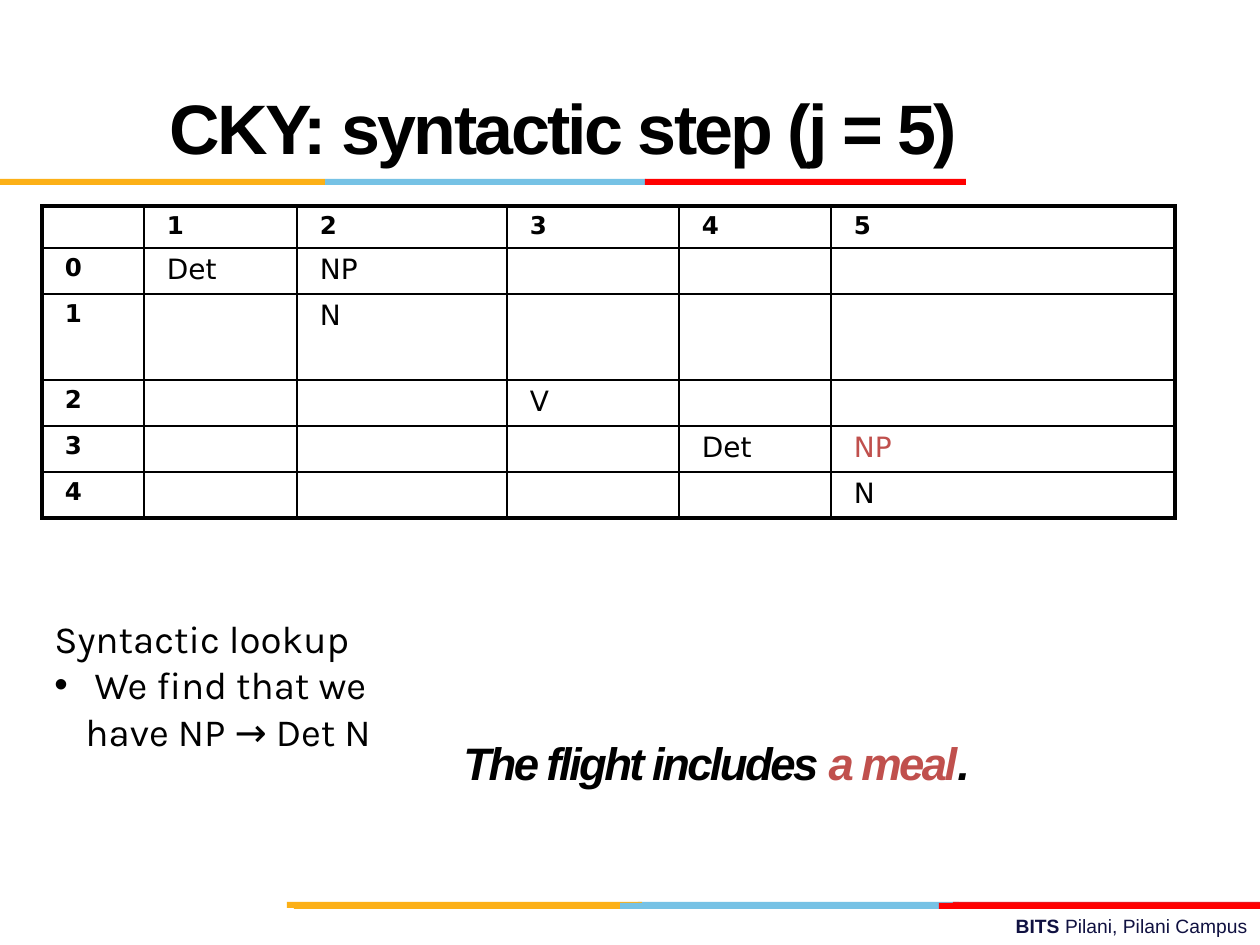
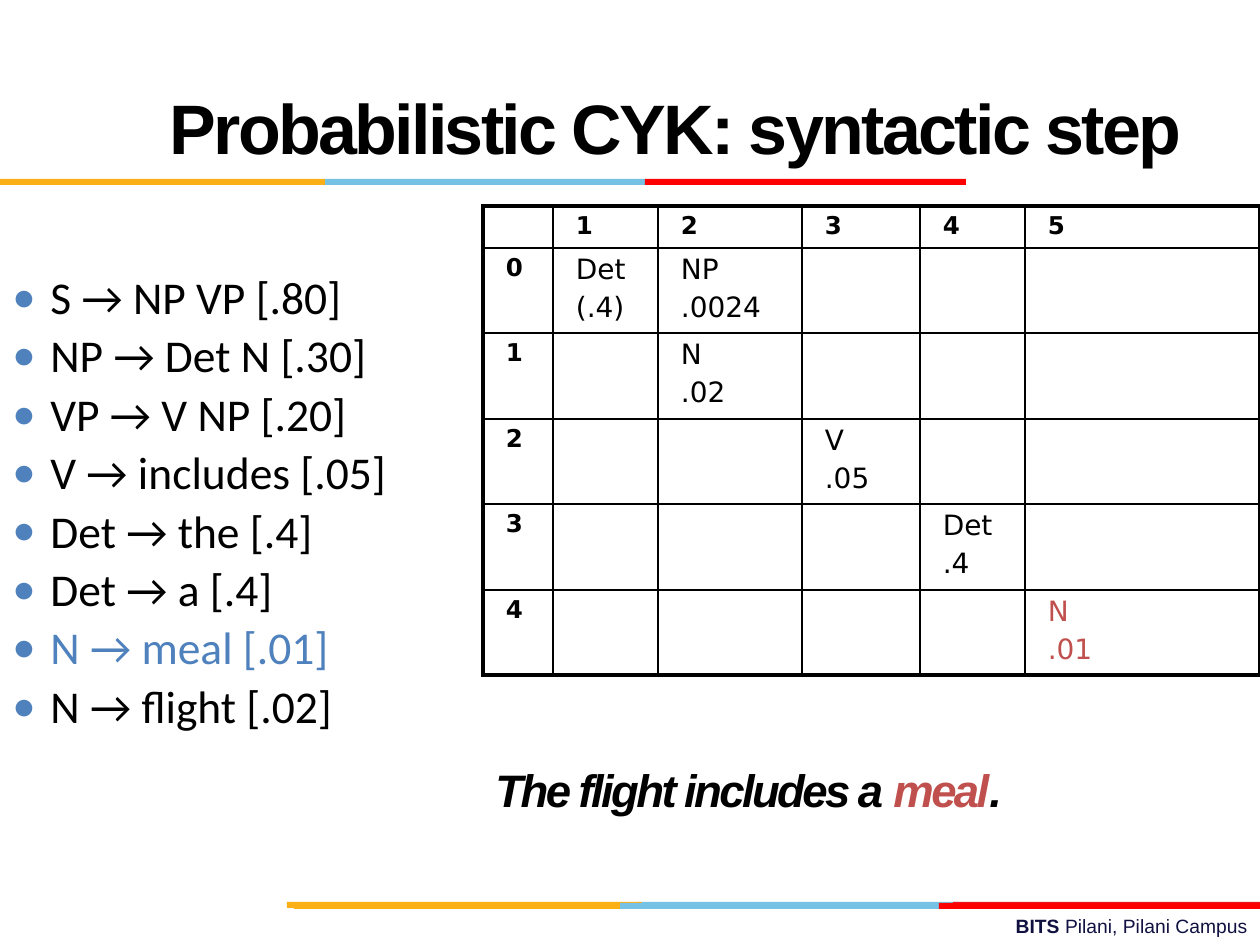
from lxml.etree import SubElement
from pptx import Presentation
from pptx.dml.color import RGBColor
from pptx.enum.shapes import MSO_SHAPE as SHAPE
from pptx.enum.text import MSO_ANCHOR as ANCHOR, PP_ALIGN as ALIGN
from pptx.oxml import parse_xml
from pptx.oxml.ns import nsdecls, qn
from pptx.util import Pt

PX = 914400 / 126  # EMU in one px
W, H = 1260, 945

BLACK = RGBColor(0x00, 0x00, 0x00)
NAVY = RGBColor(0x10, 0x11, 0x41)
GOLD = RGBColor(0xFC, 0xB0, 0x17)
SKY = RGBColor(0x76, 0xC2, 0xE5)
RED = RGBColor(0xFF, 0x00, 0x00)
CRIMSON = RGBColor(0xE3, 0x1C, 0x24)
BRICK = RGBColor(0xC0, 0x50, 0x4D)
BLUE = RGBColor(0x4F, 0x81, 0xBD)

# Colour bands: left, top, width, colour
BANDS = [
    (638, 902, 321, SKY), (953, 902, 307, CRIMSON), (287, 902, 355, GOLD),
    (620, 903, 321, SKY), (294, 903, 326, GOLD), (939, 903, 321, RED),
    (325, 179, 321, SKY), (0, 179, 325, GOLD), (645, 179, 321, RED),
]

TITLE = dict(size=40, bold=True, track=-150)
SENTENCE = dict(size=26, bold=True, italic=True, track=-150, line=0.9)

SLIDES = [
    dict(
        title="CKY: syntactic step (j = 5)",
        table_at=(42, 206),
        cols=[102, 153, 210, 172, 152, 344],
        rows=[42, 46, 86, 46, 46, 46],
        entries={(0, 1): "Det", (0, 2): "NP", (1, 2): "N", (2, 3): "V",
                 (3, 4): "Det", (3, 5): "NP", (4, 5): "N"},
        new_entry=(3, 5),
        sentence=["The flight includes ", ("a meal", BRICK), "."],
        sentence_at=(451, 687),
    ),
    dict(
        title="Probabilistic CYK: syntactic step",
        table_at=(483, 206),
        cols=[70, 105, 144, 118, 105, 235],
        rows=[42, 85, 86, 85, 86, 85],
        entries={(0, 1): "Det\n(.4)", (0, 2): "NP\n.0024", (1, 2): "N\n.02",
                 (2, 3): "V\n.05", (3, 4): "Det\n.4", (4, 5): "N\n.01"},
        new_entry=(4, 5),
        sentence=["The flight includes a ", ("meal", BRICK), "."],
        sentence_at=(483, 714),
    ),
]

RULES = ["S → NP VP [.80]", "NP → Det N [.30]", "VP → V NP [.20]",
         "V → includes [.05]", "Det → the [.4]", "Det → a [.4]",
         [("N → meal [.01]", BLUE)], "N → flight [.02]"]


def px(n):
    return round(n * PX)


def write(tf, paras, size=16, font="Arial", color=BLACK, bold=False,
          italic=False, track=0, align=ALIGN.LEFT, line=None, before=0,
          bullet=None, bullet_color=None, bullet_size=100, hang=0,
          bullets_from=0):
    """Fill a text frame; a paragraph is a string or a list of runs,
    a run is a string or (text, colour[, bold])."""
    tf.word_wrap = True
    for i, para in enumerate(paras):
        p = tf.paragraphs[0] if i == 0 else tf.add_paragraph()
        p.alignment = align
        if line:
            p.line_spacing = line
        if i and before:
            p.space_before = Pt(before)
        if bullet and i >= bullets_from:
            pPr = p._p.get_or_add_pPr()
            pPr.set("marL", str(px(hang)))
            pPr.set("indent", str(-px(hang)))
            clr = SubElement(pPr, qn("a:buClr"))
            SubElement(clr, qn("a:srgbClr"), val=str(bullet_color or color))
            SubElement(pPr, qn("a:buSzPct"), val=str(bullet_size * 1000))
            SubElement(pPr, qn("a:buFont"), typeface="Arial")
            SubElement(pPr, qn("a:buChar"), char=bullet)
        for run in [para] if isinstance(para, str) else para:
            text, *style = (run,) if isinstance(run, str) else run
            r = p.add_run()
            r.text = text
            f = r.font
            f.size, f.name, f.italic = Pt(size), font, italic
            f.color.rgb = style[0] if style else color
            f.bold = style[1] if len(style) > 1 else bold
            if track:
                r._r.get_or_add_rPr().set("spc", str(track))


prs = Presentation()
prs.slide_width, prs.slide_height = px(W), px(H)

for n, page in enumerate(SLIDES):
    s = prs.slides.add_slide(prs.slide_layouts[6])

    # Footer and bands
    tb = s.shapes.add_textbox(px(451), px(908), px(809), px(37))
    write(tb.text_frame, [[("BITS ", NAVY, True), "Pilani, Pilani Campus"]],
          size=11, color=NAVY, align=ALIGN.RIGHT)
    for left, top, width, color in BANDS:
        sp = s.shapes.add_shape(SHAPE.RECTANGLE, px(left), px(top), px(width), px(6))
        sp.shadow.inherit = False
        sp.fill.solid()
        sp.fill.fore_color.rgb = color
        sp.line.fill.background()

    # Chart of constituents
    cols, rows = page["cols"], page["rows"]
    left, top = page["table_at"]
    table = s.shapes.add_table(len(rows), len(cols), px(left), px(top),
                               px(sum(cols)), px(sum(rows))).table
    table.first_row = table.horz_banding = False
    for c, width in enumerate(cols):
        table.columns[c].width = px(width)
    for r, height in enumerate(rows):
        table.rows[r].height = px(height)
        for c in range(len(cols)):
            cell = table.cell(r, c)
            cell.margin_left = cell.margin_right = px(23)
            cell.margin_top = cell.margin_bottom = px(6)
            cell.fill.background()
            header = r == 0 or c == 0
            if header:
                text = str(c or r - 1) if r or c else ""
            else:
                text = page["entries"].get((r - 1, c), "")
            if text:
                is_new = (r - 1, c) == page["new_entry"]
                write(cell.text_frame, text.split("\n"), size=14 if header else 16,
                      font="DejaVu Sans", bold=header, before=3.2,
                      color=BRICK if is_new else BLACK)
            else:
                SubElement(cell.text_frame.paragraphs[0]._p, qn("a:endParaRPr"), sz="1400")
            # Thick outer frame, thin inner grid
            outer = {"L": c == 0, "R": c == len(cols) - 1,
                     "T": r == 0, "B": r == len(rows) - 1}
            for i, (side, thick) in enumerate(outer.items()):
                width = Pt(2.25 if thick else 1)
                cell._tc.get_or_add_tcPr().insert(i, parse_xml(
                    f'<a:ln{side} {nsdecls("a")} w="{width}"><a:solidFill>'
                    f'<a:srgbClr val="{BLACK}"/></a:solidFill></a:ln{side}>'))

    # Example sentence
    left, top = page["sentence_at"]
    tb = s.shapes.add_textbox(px(left), px(top), px(W - left), px(157))
    tb.text_frame.vertical_anchor = ANCHOR.MIDDLE
    write(tb.text_frame, [page["sentence"]], **SENTENCE)

    # Title
    tb = s.shapes.add_textbox(px(157), px(42), px(W - 157), px(168))
    tb.text_frame.vertical_anchor = ANCHOR.MIDDLE
    write(tb.text_frame, [page["title"]], **TITLE)

    # Left-hand text: lookup note, then grammar rules
    if n == 0:
        tb = s.shapes.add_textbox(px(42), px(609), px(410), px(255))
        write(tb.text_frame, ["Syntactic lookup", " We find that we have NP → Det N"],
              size=22, font="Karla", bullet="•", hang=31, bullets_from=1)
    else:
        tb = s.shapes.add_textbox(px(0), px(269), px(410), px(570))
        write(tb.text_frame, RULES, size=26, font="Calibri", line=0.9, before=5.3,
              bullet="●", bullet_color=BLUE, bullet_size=85, hang=38)

prs.save("out.pptx")
